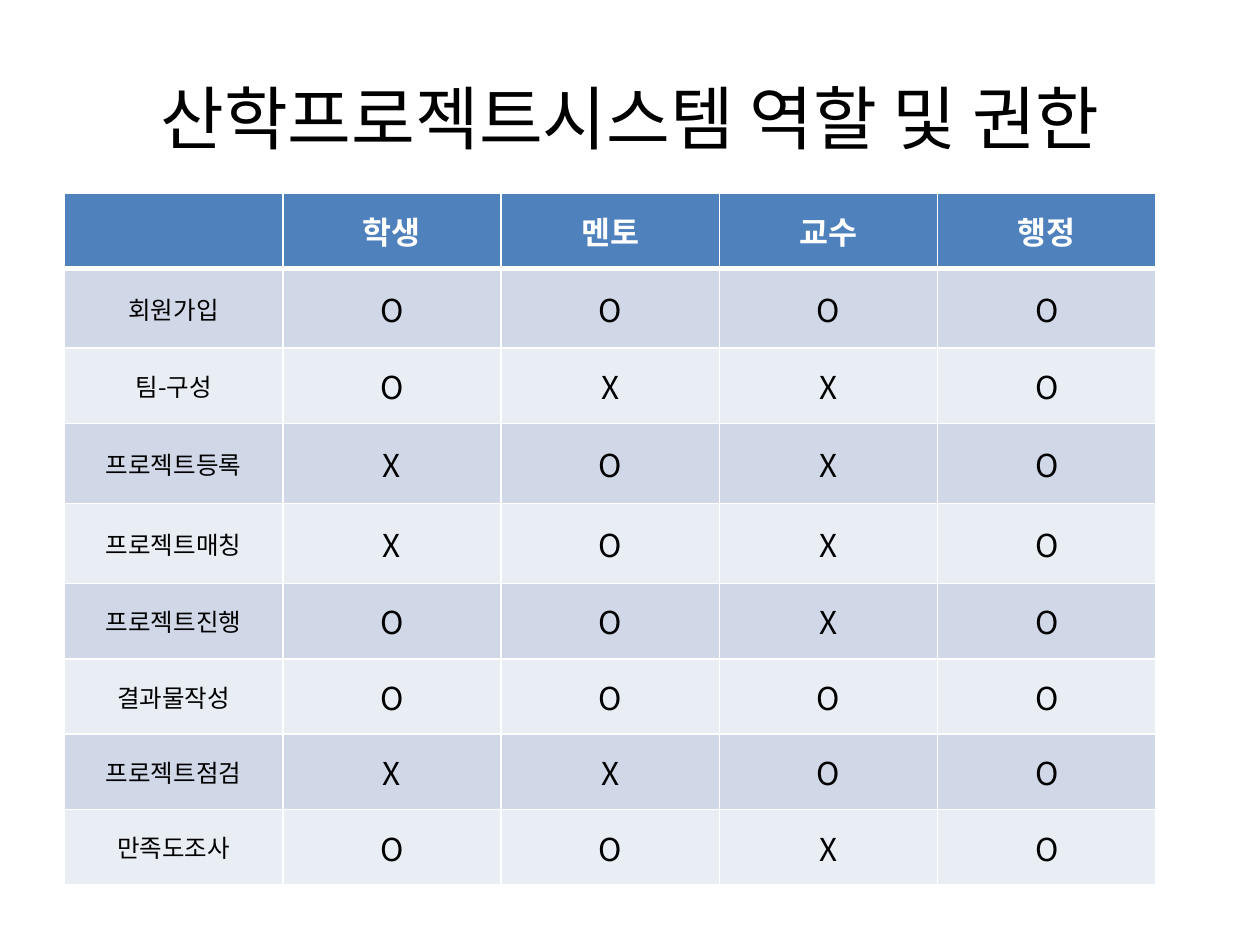
from lxml import etree
from pptx import Presentation
from pptx.dml.color import RGBColor
from pptx.enum.text import MSO_ANCHOR, PP_ALIGN
from pptx.oxml.ns import qn
from pptx.util import Cm, Pt

CENTER = PP_ALIGN.CENTER
MIDDLE = MSO_ANCHOR.MIDDLE

COLORS = {
    "header": "4F81BD",
    "odd": "D0D8E8",
    "even": "E9EDF4",
    "white": "FFFFFF",
    "black": "000000",
}
LATIN_FONT = "Calibri"
KOREAN_FONT = "Noto Sans CJK KR"

TITLE = "산학프로젝트시스템 역할 및 권한"
ROLES = ["", "학생", "멘토", "교수", "행정"]
PERMISSIONS = [
    ("회원가입", "OOOO"),
    ("팀-구성", "OXXO"),
    ("프로젝트등록", "XOXO"),
    ("프로젝트매칭", "XOXO"),
    ("프로젝트진행", "OOXO"),
    ("결과물작성", "OOOO"),
    ("프로젝트점검", "XXOO"),
    ("만족도조사", "OOXO"),
]
COLUMN_WIDTH = 4.4
ROW_HEIGHT, TALL_HEIGHT = 1.52, 1.61
TALL_ROWS = {1, 3, 4}


def write(frame, text, size, color, font_name, bold=False):
    para = frame.paragraphs[0]
    para.text = text
    para.alignment = CENTER
    font = para.font
    font.name = font_name
    font.size = Pt(size)
    font.bold = bold
    font.color.rgb = RGBColor.from_string(COLORS[color])
    properties = para._p.pPr.find(qn("a:defRPr"))
    latin = properties.find(qn("a:latin"))
    east_asian = etree.Element(qn("a:ea"), typeface=KOREAN_FONT)
    latin.addnext(east_asian)


def add_borders(cell, top, bottom):
    widths = {"L": 1, "R": 1, "T": top, "B": bottom}
    properties = cell._tc.get_or_add_tcPr()
    for index, (side, width) in enumerate(widths.items()):
        line = etree.Element(qn(f"a:ln{side}"), w=str(Pt(width)))
        fill = etree.SubElement(line, qn("a:solidFill"))
        etree.SubElement(fill, qn("a:srgbClr"), val=COLORS["white"])
        properties.insert(index, line)


def add_title(page):
    box = page.shapes.add_textbox(Cm(1.27), Cm(0.76), Cm(22.86), Cm(3.18))
    frame = box.text_frame
    frame.word_wrap = True
    frame.vertical_anchor = MIDDLE
    write(frame, TITLE, 39.6, "black", LATIN_FONT)


def add_permissions(page):
    rows = [ROLES] + [[task, *marks] for task, marks in PERMISSIONS]
    heights = [TALL_HEIGHT if r in TALL_ROWS else ROW_HEIGHT for r in range(len(rows))]
    table = page.shapes.add_table(
        len(rows), len(ROLES), Cm(1.3), Cm(3.89),
        Cm(COLUMN_WIDTH * len(ROLES)), Cm(sum(heights)),
    ).table
    for column in table.columns:
        column.width = Cm(COLUMN_WIDTH)
    for r, (texts, height) in enumerate(zip(rows, heights)):
        table.rows[r].height = Cm(height)
        is_header = r == 0
        fill = "header" if is_header else "odd" if r % 2 else "even"
        for c, text in enumerate(texts):
            cell = table.cell(r, c)
            cell.vertical_anchor = MIDDLE
            cell.fill.solid()
            cell.fill.fore_color.rgb = RGBColor.from_string(COLORS[fill])
            add_borders(cell, 3 if r == 1 else 1, 3 if is_header else 1)
            size = 14 if c == 0 and not is_header else 18
            color = "white" if is_header else "black"
            write(cell.text_frame, text, size, color, KOREAN_FONT, is_header)


def main():
    deck = Presentation()
    deck.slide_width, deck.slide_height = Cm(25.4), Cm(19.05)
    page = deck.slides.add_slide(deck.slide_layouts[6])
    add_title(page)
    add_permissions(page)
    deck.save("out.pptx")


if __name__ == "__main__":
    main()
